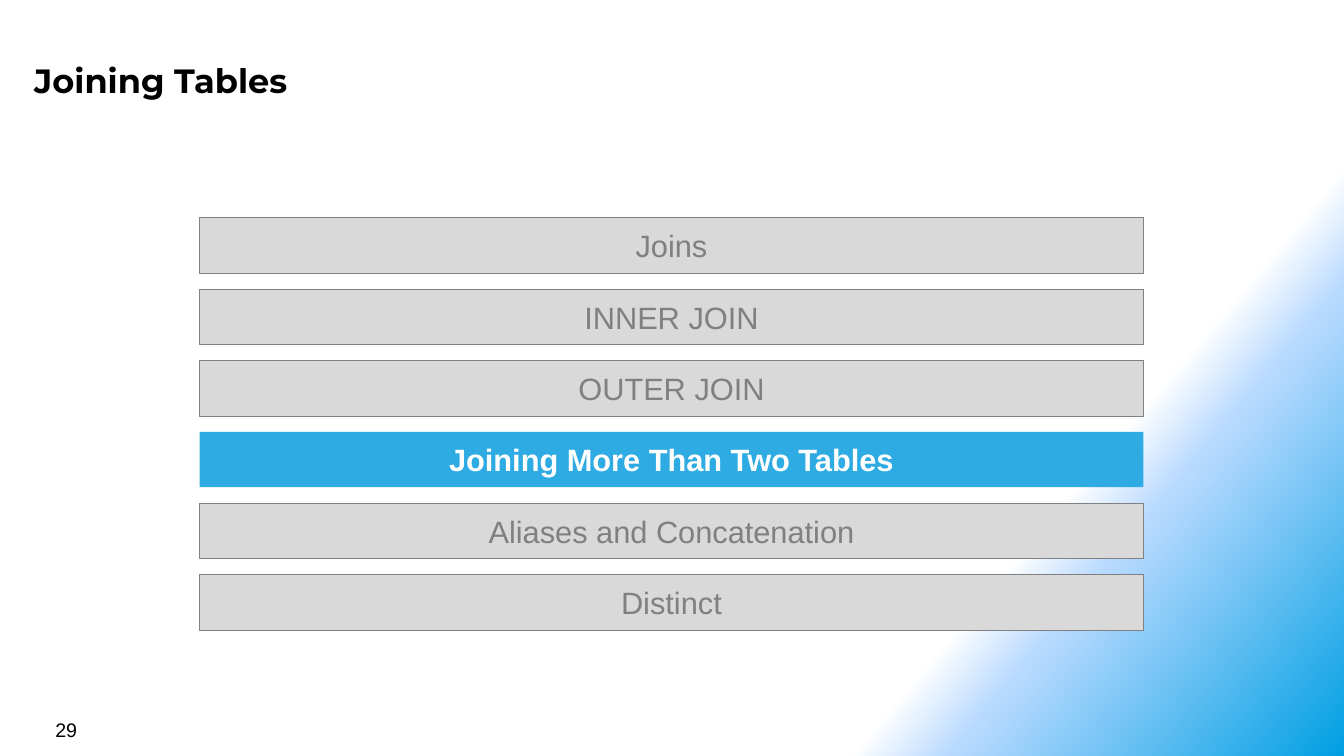
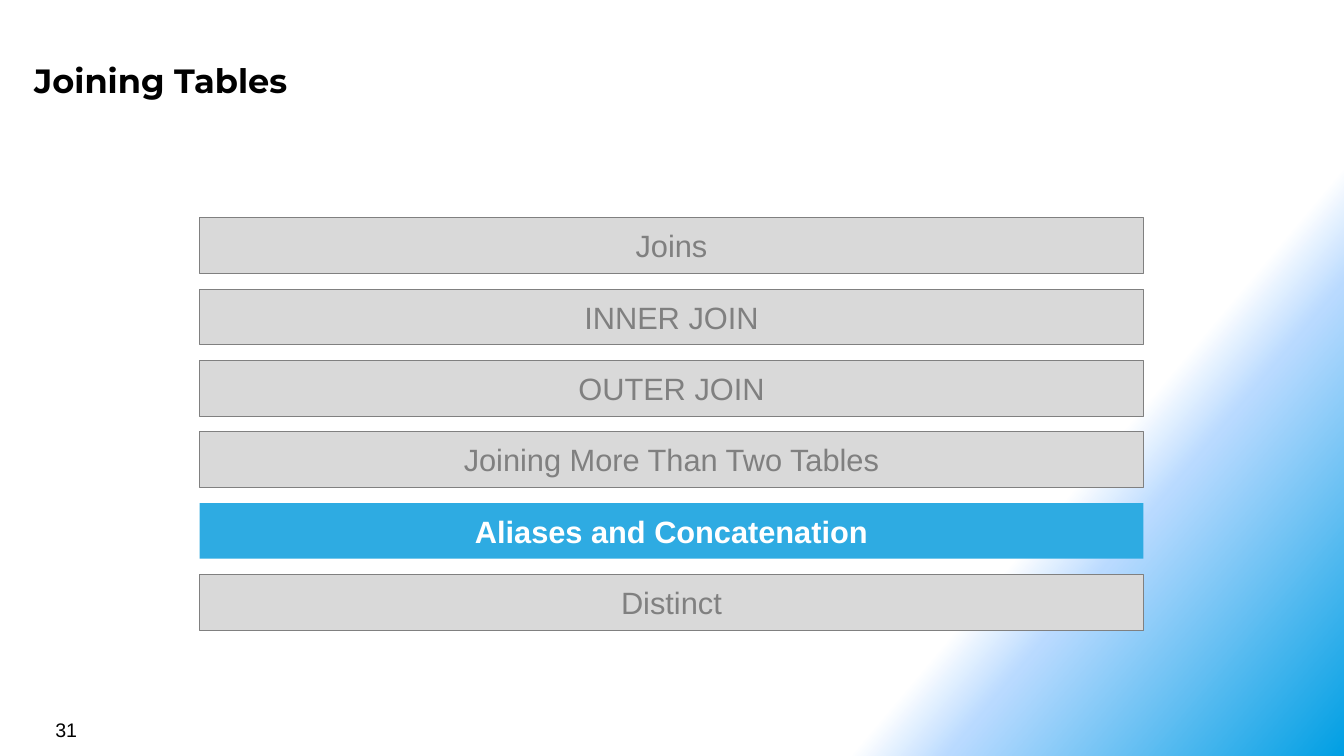
from lxml.etree import SubElement
from pptx import Presentation
from pptx.dml.color import RGBColor
from pptx.enum.shapes import MSO_SHAPE
from pptx.enum.text import MSO_ANCHOR, PP_ALIGN
from pptx.oxml.ns import qn
from pptx.util import Inches, Pt

COLORS = {
    "white": "FFFFFF",
    "pale_blue": "B9DAFF",
    "deep_blue": "009FE3",
    "highlight": "2EABE2",
    "bar": "D9D9D9",
    "muted": "808080",
    "black": "000000",
}
BACKGROUND_STOPS = [(75, "white", 100), (80, "pale_blue", 50), (100, "deep_blue", 100)]
BACKGROUND_ANGLE = 40

TITLE_FONT = {"name": "Montserrat", "size": Pt(24), "bold": True}
NUMBER_FONT = {"name": "Arial", "size": Pt(14), "bold": False}
TOPIC_FONT = {"name": "Arial", "size": Pt(22), "bold": False}
CURRENT_FONT = {**TOPIC_FONT, "bold": True}

TOPICS = [
    "Joins",
    "INNER JOIN",
    "OUTER JOIN",
    "Joining More Than Two Tables",
    "Aliases and Concatenation",
    "Distinct",
]
AGENDAS = [("29", "Joining More Than Two Tables"), ("31", "Aliases and Concatenation")]
FIRST_TOP, LAST_TOP = 2.16, 5.7
TOPIC_PITCH = (LAST_TOP - FIRST_TOP) / (len(TOPICS) - 1)


def rgb(color):
    return RGBColor.from_string(COLORS[color])


def set_background(master):
    fill = master.background.fill
    fill.gradient()
    fill.gradient_angle = 360 - BACKGROUND_ANGLE
    stops = master.element.find(".//" + qn("p:bg")).find(".//" + qn("a:gsLst"))
    for default_stop in list(stops):
        stops.remove(default_stop)
    for position, color, opacity in BACKGROUND_STOPS:
        stop = SubElement(stops, qn("a:gs"), pos=str(position * 1000))
        tint = SubElement(stop, qn("a:srgbClr"), val=COLORS[color])
        if opacity < 100:
            SubElement(tint, qn("a:alpha"), val=str(opacity * 1000))


def write(frame, text, font_format, color, inset_x, inset_y):
    frame.word_wrap = True
    frame.margin_left = frame.margin_right = Inches(inset_x)
    frame.margin_top = frame.margin_bottom = Inches(inset_y)
    paragraph = frame.paragraphs[0]
    run = paragraph.add_run()
    run.text = text
    for attribute, value in font_format.items():
        setattr(run.font, attribute, value)
    run.font.color.rgb = rgb(color)
    return paragraph


def add_label(slide, text, place, font_format, inset_x, inset_y):
    label = slide.shapes.add_textbox(*map(Inches, place))
    write(label.text_frame, text, font_format, "black", inset_x, inset_y)


def add_topic(slide, topic, top, is_current):
    bar = slide.shapes.add_shape(
        MSO_SHAPE.RECTANGLE, Inches(1.98), Inches(top), Inches(9.36), Inches(0.55)
    )
    bar.shadow.inherit = False
    bar.fill.solid()
    bar.fill.fore_color.rgb = rgb("highlight" if is_current else "bar")
    if is_current:
        bar.line.fill.background()
    else:
        bar.line.color.rgb = rgb("muted")
        bar.line.width = Pt(0.5)
    font_format = CURRENT_FONT if is_current else TOPIC_FONT
    color = "white" if is_current else "muted"
    bar.text_frame.vertical_anchor = MSO_ANCHOR.MIDDLE
    write(bar.text_frame, topic, font_format, color, 0, 0).alignment = PP_ALIGN.CENTER


def add_agenda(deck, number, current):
    slide = deck.slides.add_slide(deck.slide_layouts[6])
    add_label(slide, "Joining Tables", (0.26, 0.51, 12.26, 0.55), TITLE_FONT, 0.08, 0.08)
    for row, topic in enumerate(TOPICS):
        add_topic(slide, topic, FIRST_TOP + row * TOPIC_PITCH, topic == current)
    add_label(slide, number, (0.45, 7.07, 3.11, 0.33), NUMBER_FONT, 0.1, 0.05)


def main():
    deck = Presentation()
    deck.slide_width, deck.slide_height = Inches(13.33), Inches(7.5)
    set_background(deck.slide_master)
    for number, current in AGENDAS:
        add_agenda(deck, number, current)
    deck.save("out.pptx")


if __name__ == "__main__":
    main()
